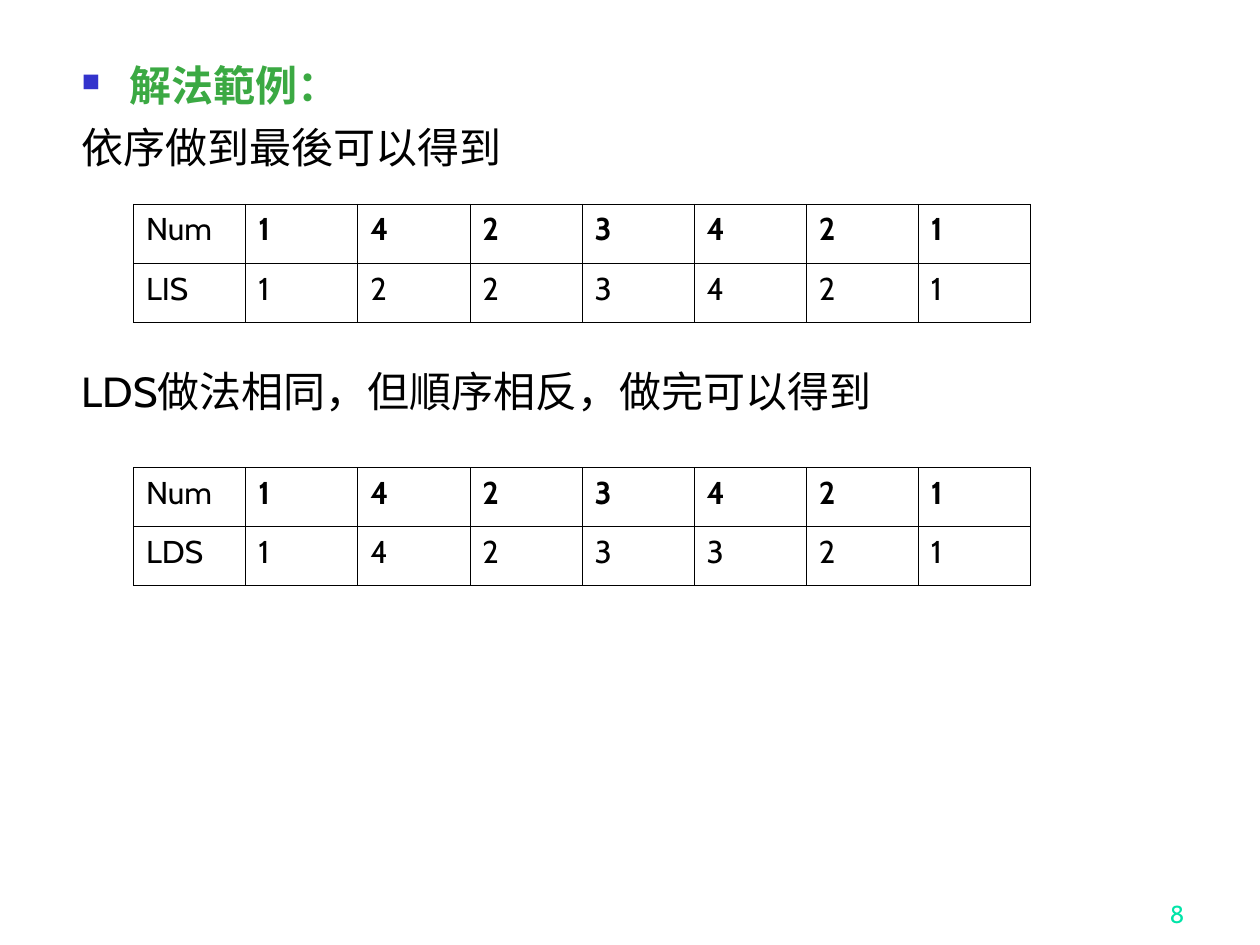
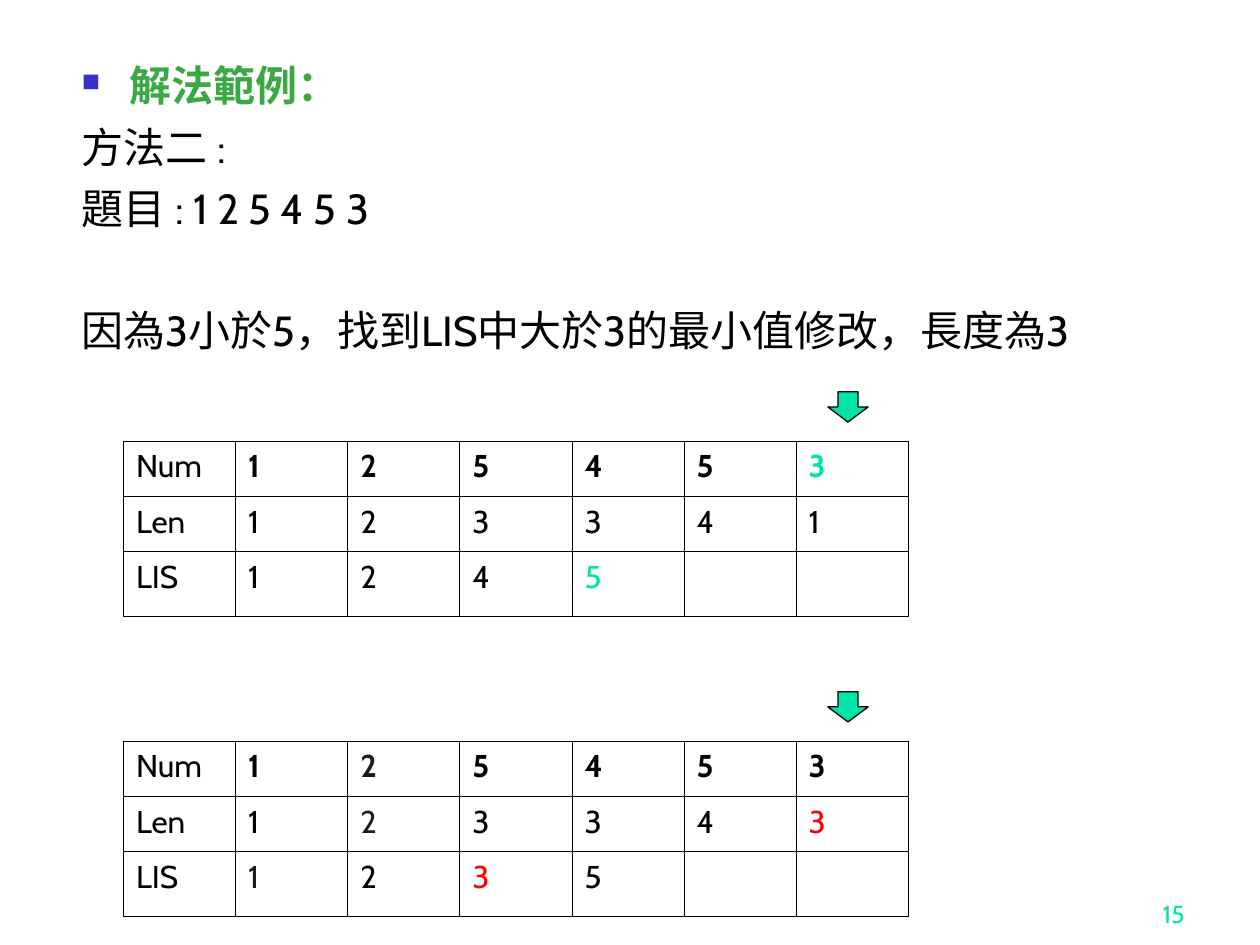
from dataclasses import dataclass

from lxml import etree
from pptx import Presentation
from pptx.dml.color import RGBColor
from pptx.enum import shapes, text
from pptx.oxml import ns
from pptx.util import Inches, Pt


@dataclass(frozen=True)
class Theme:
    ink: str = "000000"
    soft_ink: str = "1C1C1C"
    heading: str = "3BA943"
    bullet: str = "3333CC"
    accent: str = "00E4A8"
    changed: str = "FF0000"
    body_font: str = "Cabin"
    heading_font: str = "Times New Roman"
    body_size: int = 24
    cell_size: int = 18
    number_size: int = 14


THEME = Theme()
HEADING = "解法範例："
LINE_GAP = 6        # points before a line that follows directly
LINE_PITCH = 34.9   # points from one line of text to the next
COLUMN_WIDTH = 0.89


def add_element(parent, tag, **attributes):
    return etree.SubElement(parent, ns.qn(tag), attributes)


def style(para, size, color=THEME.ink, bold=False, font=THEME.body_font):
    para.font.size = Pt(size)
    para.font.name = font
    para.font.bold = bold
    para.font.color.rgb = RGBColor.from_string(color)


def add_text_box(page, left, top, width, height):
    box = page.shapes.add_textbox(*map(Inches, (left, top, width, height)))
    box.text_frame.word_wrap = True
    return box.text_frame


def add_body(page, lines):
    """Write the heading, then lines given as (text, empty lines above)."""
    frame = add_text_box(page, 0.55, 0.47, 8.9, 6.55)

    # Heading with a square bullet
    para = frame.paragraphs[0]
    para.text = HEADING
    para.line_spacing = 0.9
    properties = para._p.get_or_add_pPr()
    color = add_element(properties, "a:buClr")
    add_element(color, "a:srgbClr", val=THEME.bullet)
    add_element(properties, "a:buSzPct", val="60000")
    add_element(properties, "a:buChar", char="■")
    style(para, THEME.body_size, THEME.heading, True, THEME.heading_font)

    # Plain lines
    for line, skipped in lines:
        para = frame.add_paragraph()
        para.text = line
        para.space_before = Pt(LINE_GAP + skipped * LINE_PITCH)
        style(para, THEME.body_size)

    # Shared hanging indent
    for para in frame.paragraphs:
        properties = para._p.get_or_add_pPr()
        properties.set("marL", str(Inches(0.38)))
        properties.set("indent", str(-Inches(0.38)))


def add_page_number(page, number):
    frame = add_text_box(page, 7.42, 6.92, 2.08, 0.5)
    frame.vertical_anchor = text.MSO_ANCHOR.BOTTOM
    para = frame.paragraphs[0]
    para.text = str(number)
    para.alignment = text.PP_ALIGN.RIGHT
    style(para, THEME.number_size, THEME.accent)


def outline_cell(cell):
    properties = cell._tc.get_or_add_tcPr()
    for side in ("a:lnL", "a:lnR", "a:lnT", "a:lnB"):
        line = add_element(properties, side, w=str(Pt(0.45)))
        fill = add_element(line, "a:solidFill")
        add_element(fill, "a:srgbClr", val=THEME.ink)
    cell.fill.background()


def add_number_table(page, left, top, row_heights, rows, colors=None):
    """Rows are (label, digits); colors maps (row, column) to a text colour."""
    colors = colors or {}
    columns = 1 + max(len(digits) for _, digits in rows)
    table = page.shapes.add_table(
        len(rows), columns, Inches(left), Inches(top),
        Inches(columns * COLUMN_WIDTH), Inches(sum(row_heights))).table
    table.first_row = table.horz_banding = False
    for column in table.columns:
        column.width = Inches(COLUMN_WIDTH)
    for r, (label, digits) in enumerate(rows):
        table.rows[r].height = Inches(row_heights[r])
        values = [label, *digits]
        for c in range(columns):
            cell = table.cell(r, c)
            outline_cell(cell)
            para = cell.text_frame.paragraphs[0]
            if c < len(values):
                para.text = values[c]
            style(para, THEME.cell_size, colors.get((r, c), THEME.ink),
                  bold=r == 0 and c > 0)


def add_down_arrow(page, left, top):
    arrow = page.shapes.add_shape(
        shapes.MSO_SHAPE.DOWN_ARROW, Inches(left), Inches(top),
        Inches(0.32), Inches(0.24))
    arrow.shadow.inherit = False
    arrow.fill.solid()
    arrow.fill.fore_color.rgb = RGBColor.from_string(THEME.accent)
    arrow.line.color.rgb = RGBColor.from_string(THEME.ink)
    arrow.line.width = Pt(0.75)


def add_page(deck, number, lines):
    page = deck.slides.add_slide(deck.slide_layouts[6])
    add_body(page, lines)
    add_page_number(page, number)
    return page


def build_both_directions(deck):
    page = add_page(deck, 8, [
        ("依序做到最後可以得到", 0),
        ("LDS做法相同，但順序相反，做完可以得到", 3),
    ])
    for top, label, lengths in ((1.62, "LIS", "1223421"),
                                (3.71, "LDS", "1423321")):
        add_number_table(page, 1.06, top, (0.47, 0.47),
                         [("Num", "1423421"), (label, lengths)])


def build_second_method(deck):
    page = add_page(deck, 15, [
        ("方法二 :", 0),
        ("題目 : 1 2 5 4 5 3", 0),
        ("因為3小於5，找到LIS中大於3的最小值修改，長度為3", 1),
    ])
    before = {(0, 6): THEME.accent, (2, 4): THEME.accent}
    after = {(0, 2): THEME.soft_ink, (1, 2): THEME.soft_ink,
             (2, 1): THEME.soft_ink,
             (1, 6): THEME.changed, (2, 3): THEME.changed}
    for top, lengths, sequence, colors in (
            (3.5, "123341", "1245", before),
            (5.88, "123343", "1235", after)):
        add_number_table(
            page, 0.98, top, (0.44, 0.44, 0.51),
            [("Num", "125453"), ("Len", lengths), ("LIS", sequence)], colors)
        add_down_arrow(page, 6.57, top - 0.39)


def main():
    deck = Presentation()
    deck.slide_width, deck.slide_height = Inches(10), Inches(7.5)
    build_both_directions(deck)
    build_second_method(deck)
    deck.save("out.pptx")


if __name__ == "__main__":
    main()
